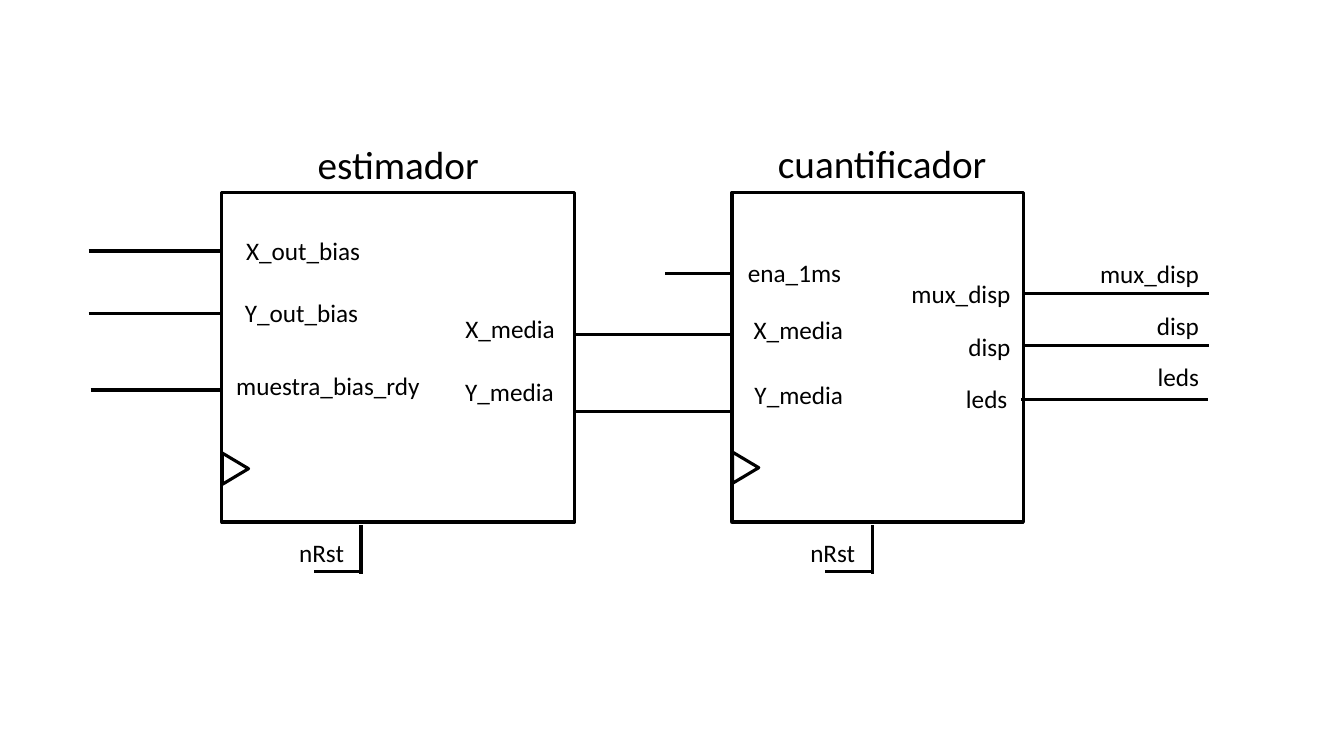
from lxml.etree import SubElement
from pptx import Presentation
from pptx.dml.color import RGBColor
from pptx.enum.shapes import MSO_CONNECTOR, MSO_SHAPE
from pptx.enum.text import MSO_AUTO_SIZE, PP_ALIGN
from pptx.oxml.ns import qn
from pptx.util import Inches, Pt

BLACK = RGBColor(0, 0, 0)
WHITE = RGBColor(255, 255, 255)
FONT = "Calibri"
LINE_WIDTH = Pt(2.25)
BLOCK_TOP, BLOCK_HEIGHT = 1.91, 3.27
PORT_HEIGHT = 0.4
RESET_TOP, RESET_BOTTOM = 5.21, 5.67
CLOCK_WIDTH, CLOCK_HEIGHT = 0.31, 0.26

# Ports: (name, left, top, width of the label)
BLOCKS = [
    dict(name="estimador", left=2.2, width=3.5, name_left=2.55, name_top=1.34,
         reset_x=3.58, clock_top=4.52,
         ports=[("X_out_bias", 2.19, 2.29, 1.48),
                ("Y_out_bias", 2.17, 2.9, 1.48),
                ("muestra_bias_rdy", 2.14, 3.62, 2.12),
                ("X_media", 4.12, 3.06, 1.48),
                ("Y_media", 4.11, 3.68, 1.48)]),
    dict(name="cuantificador", left=7.26, width=2.89, name_left=7.35, name_top=1.33,
         reset_x=8.65, clock_top=4.51,
         ports=[("ena_1ms", 6.6, 2.5, 1.84),
                ("X_media", 6.98, 3.07, 1.48),
                ("Y_media", 6.98, 3.71, 1.48),
                ("mux_disp", 8.28, 2.71, 1.84),
                ("disp", 8.28, 3.24, 1.84),
                ("leds", 8.25, 3.75, 1.84)]),
]
# Horizontal wires: (start x, length, y)
WIRES = [
    (0.88, 1.31, 2.49), (0.88, 1.31, 3.11), (0.9, 1.31, 3.87),
    (5.7, 1.56, 3.32), (5.7, 1.56, 4.08),
    (6.6, 0.66, 2.71),
    (10.14, 1.85, 2.91), (10.14, 1.85, 3.43), (10.13, 1.85, 3.96),
]
OUTPUTS = [("mux_disp", 2.51), ("disp", 3.03), ("leds", 3.54)]
OUTPUT_LEFT, OUTPUT_WIDTH = 10.15, 1.84


def add_label(text, left, top, width, height=PORT_HEIGHT, size=18, align=PP_ALIGN.RIGHT):
    """Write one line of text in a box."""
    label = slide.shapes.add_textbox(*map(Inches, (left, top, width, height)))
    frame = label.text_frame
    frame.word_wrap = True
    frame.auto_size = MSO_AUTO_SIZE.SHAPE_TO_FIT_TEXT
    paragraph = frame.paragraphs[0]
    paragraph.alignment = align
    run = paragraph.add_run()
    run.text = text
    run.font.name = FONT
    run.font.size = Pt(size)
    run.font.color.rgb = BLACK


def add_wire(x1, y1, x2, y2):
    """Draw a straight black wire without a shadow."""
    wire = slide.shapes.add_connector(
        MSO_CONNECTOR.STRAIGHT, *map(Inches, (x1, y1, x2, y2)))
    wire.line.color.rgb = BLACK
    wire.line.width = LINE_WIDTH
    SubElement(wire._element.spPr, qn("a:effectLst"))


def add_outline(kind, left, top, width, height, fill=None, rotation=0):
    """Draw a black outlined shape, filled only if a colour is given."""
    outline = slide.shapes.add_shape(kind, *map(Inches, (left, top, width, height)))
    outline.shadow.inherit = False
    outline.rotation = rotation
    outline.line.color.rgb = BLACK
    outline.line.width = LINE_WIDTH
    if fill is None:
        outline.fill.background()
    else:
        outline.fill.solid()
        outline.fill.fore_color.rgb = fill


def add_block(name, left, width, name_left, name_top, reset_x, clock_top, ports):
    """Draw a block with its name, ports, reset and clock input."""
    add_outline(MSO_SHAPE.RECTANGLE, left, BLOCK_TOP, width, BLOCK_HEIGHT)
    add_label(name, name_left, name_top, 2.8, 0.57, size=28, align=PP_ALIGN.CENTER)
    for port in ports:
        add_label(*port)
    add_wire(reset_x, RESET_TOP, reset_x, RESET_BOTTOM + 0.02)
    add_wire(reset_x + 0.02, RESET_BOTTOM, reset_x - 0.47, RESET_BOTTOM)
    add_label("nRst", reset_x - 1.38, 5.28, 1.31, 0.33)
    add_outline(MSO_SHAPE.ISOSCELES_TRIANGLE, left - 0.02, clock_top,
                CLOCK_WIDTH, CLOCK_HEIGHT, fill=WHITE, rotation=90)


prs = Presentation()
prs.slide_width, prs.slide_height = Inches(13.33), Inches(7.5)
slide = prs.slides.add_slide(prs.slide_layouts.get_by_name("Blank"))

for start, length, y in WIRES:
    add_wire(start, y, start + length, y)
for block in BLOCKS:
    add_block(**block)
for output, top in OUTPUTS:
    add_label(output, OUTPUT_LEFT, top, OUTPUT_WIDTH)

prs.save("out.pptx")
